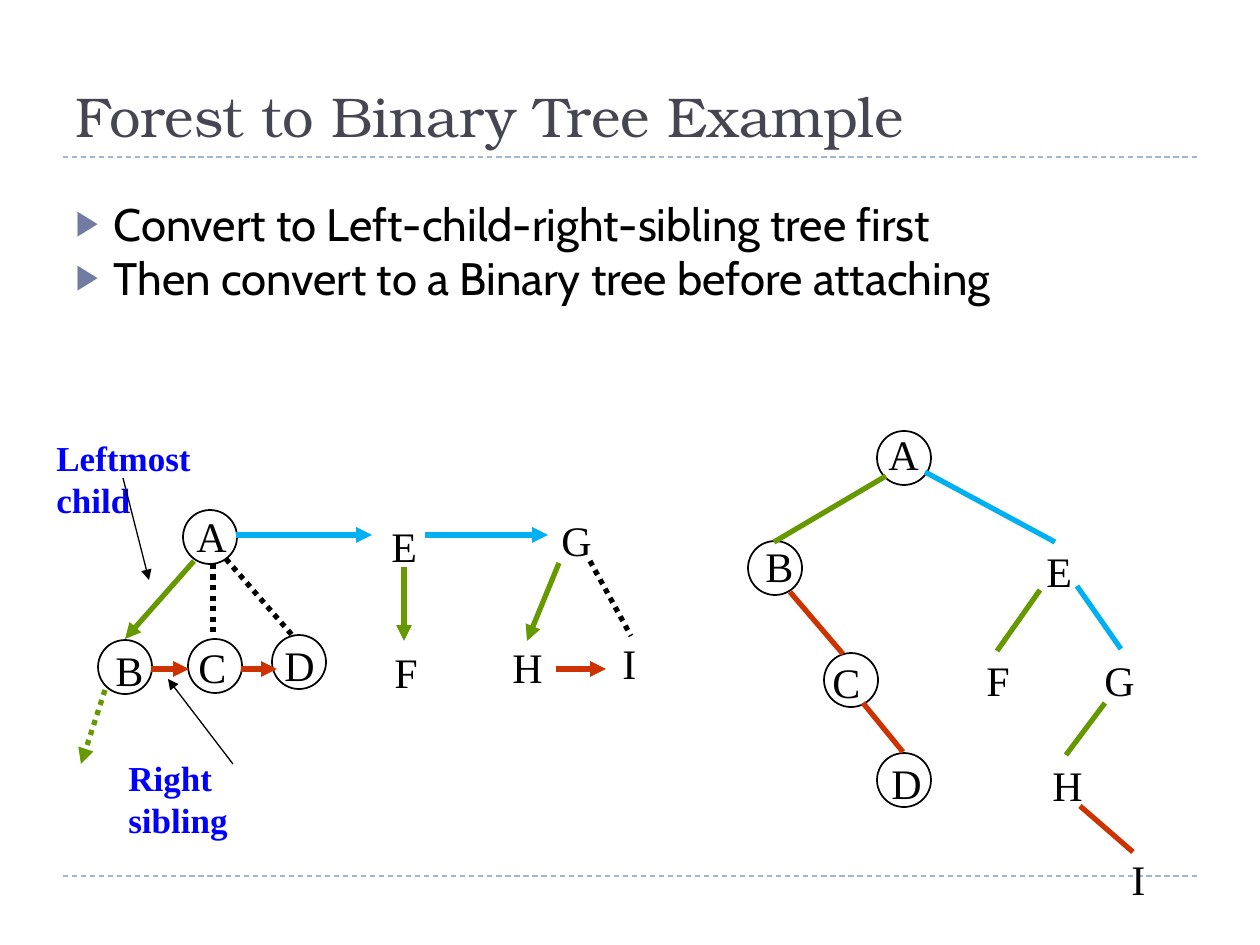
import pptx
import pptx.util
import pptx.dml.color
import pptx.enum.dml
import pptx.enum.shapes
import pptx.enum.text
import pptx.oxml.ns
from lxml import etree

PX = 914400 / 126
BLACK, GREEN, RED, BLUE = "000000", "669900", "CC3300", "00B0F0"
SERIF = "Times New Roman"
DASH = pptx.enum.dml.MSO_LINE.DASH
DOT = pptx.enum.dml.MSO_LINE.ROUND_DOT  # written as sysDot
NODE = 54
LABEL_HEIGHT = 63
LABEL_WIDTHS = {"A": 55, "B": 53, "C": 53, "D": 55, "E": 50,
                "F": 49, "G": 55, "H": 55, "I": 39}

# Letter: left and top of its label, then of its circle if it has one
FOREST_NODES = {
    "A": [(184, 504), (183, 510)], "B": [(103, 638), (98, 640)],
    "C": [(186, 635), (188, 639)], "D": [(272, 633), (272, 635)],
    "E": [(379, 514)], "F": [(382, 640)], "G": [(549, 508)],
    "H": [(500, 635)], "I": [(610, 631)],
}
BINARY_NODES = {
    "A": [(876, 422), (877, 431)], "B": [(753, 534), (748, 541)],
    "C": [(820, 650), (824, 653)], "D": [(879, 751), (877, 753)],
    "E": [(1034, 539)], "F": [(974, 648)], "G": [(1092, 648)],
    "H": [(1040, 753)], "I": [(1119, 847)],
}

# Edges: x1, y1, x2, y2, colour
FOREST_ARROWS = [
    (194, 561, 125, 639, GREEN), (404, 567, 404, 641, GREEN),
    (559, 563, 527, 641, GREEN),
    (151, 669, 189, 669, RED), (241, 669, 277, 669, RED),
    (556, 669, 606, 669, RED),
    (236, 535, 372, 535, BLUE), (425, 535, 548, 535, BLUE),
]
FOREST_DOTTED = [
    (226, 559, 292, 635, BLACK), (213, 564, 213, 636, BLACK),
    (590, 561, 631, 636, BLACK),
]
BINARY_EDGES = [
    (886, 476, 774, 542, GREEN), (925, 472, 1055, 542, BLUE),
    (790, 592, 843, 654, RED), (863, 703, 903, 752, RED),
    (1040, 590, 997, 651, GREEN), (1077, 586, 1121, 649, BLUE),
    (1105, 703, 1066, 755, GREEN), (1080, 806, 1133, 852, RED),
]


def px(*values):
    return [round(v * PX) for v in values]


def color(value):
    return pptx.dml.color.RGBColor.from_string(value)


def add_run(p, text, size, font, hex_color, bold=False):
    r = p.add_run()
    r.text = text
    r.font.size = pptx.util.Pt(size)
    r.font.name = font
    r.font.bold = bold
    r.font.color.rgb = color(hex_color)


def add_line(s, x1, y1, x2, y2, hex_color, width=3, dash=None, arrow=False):
    line = s.shapes.add_connector(
        pptx.enum.shapes.MSO_CONNECTOR.STRAIGHT, *px(x1, y1, x2, y2))
    line.line.color.rgb = color(hex_color)
    line.line.width = pptx.util.Pt(width)
    if dash:
        line.line.dash_style = dash
    if arrow:
        etree.SubElement(line.line._get_or_add_ln(),
                         pptx.oxml.ns.qn("a:tailEnd"), type="triangle")
    etree.SubElement(line._element.spPr, pptx.oxml.ns.qn("a:effectLst"))


def add_circle(s, x, y):
    sp = s.shapes.add_shape(pptx.enum.shapes.MSO_SHAPE.OVAL,
                            *px(x, y, NODE, NODE))
    sp.shadow.inherit = False
    sp.fill.background()
    sp.line.color.rgb = color(BLACK)
    sp.line.width = pptx.util.Pt(1)


def add_letter(s, letter, x, y):
    sp = s.shapes.add_textbox(*px(x, y, LABEL_WIDTHS[letter], LABEL_HEIGHT))
    tf = sp.text_frame
    tf.word_wrap = False
    tf.auto_size = pptx.enum.text.MSO_AUTO_SIZE.SHAPE_TO_FIT_TEXT
    add_run(tf.paragraphs[0], letter, 24, SERIF, BLACK)


def add_nodes(s, nodes):
    for letter, (label, *circles) in nodes.items():
        for circle in circles:
            add_circle(s, *circle)
        add_letter(s, letter, *label)


def add_callout(s, text, x, y, width, pointer):
    sp = s.shapes.add_textbox(*px(x, y, width, 54))
    tf = sp.text_frame
    tf.word_wrap = True
    tf.margin_right = px(25)[0]
    add_run(tf.paragraphs[0], text, 20, SERIF, "0000FF", bold=True)
    add_line(s, *pointer, BLACK, width=0.75, arrow=True)


def place(sp, x, y, width, height):
    sp.left, sp.top, sp.width, sp.height = px(x, y, width, height)


def fill_title(s, text):
    sp = s.shapes.title
    place(sp, 63, 16, 1040, 139)
    tf = sp.text_frame
    tf.vertical_anchor = pptx.enum.text.MSO_ANCHOR.BOTTOM
    tf.auto_size = pptx.enum.text.MSO_AUTO_SIZE.NONE
    p = tf.paragraphs[0]
    p.alignment = pptx.enum.text.PP_ALIGN.LEFT
    add_run(p, text, 32, "TeX Gyre Bonum", "464653")


def add_bullet(p):
    pPr = p._p.get_or_add_pPr()
    indent = px(38)[0]
    pPr.set("marL", str(indent))
    pPr.set("indent", str(-indent))
    bu_color = etree.SubElement(pPr, pptx.oxml.ns.qn("a:buClr"))
    etree.SubElement(bu_color, pptx.oxml.ns.qn("a:srgbClr"), val="727CA3")
    etree.SubElement(pPr, pptx.oxml.ns.qn("a:buSzPct"), val="76000")
    etree.SubElement(pPr, pptx.oxml.ns.qn("a:buChar"), char="▶")


def fill_body(s, items):
    sp = s.placeholders[1]
    place(sp, 63, 200, 1134, 113)
    tf = sp.text_frame
    tf.auto_size = pptx.enum.text.MSO_AUTO_SIZE.NONE
    for i, item in enumerate(items):
        p = tf.add_paragraph() if i else tf.paragraphs[0]
        add_bullet(p)
        p.line_spacing = 0.8
        p.space_before = pptx.util.Pt(6 if i else 0)
        add_run(p, item, 26, "Cabin", BLACK)


def main():
    prs = pptx.Presentation()
    prs.slide_width, prs.slide_height = px(1260, 945)
    s = prs.slides.add_slide(prs.slide_layouts[1])

    # Title, list and dashed rules
    fill_title(s, "Forest to Binary Tree Example")
    fill_body(s, ["Convert to Left-child-right-sibling tree first",
                  "Then convert to a Binary tree before attaching"])
    for y in (876, 157):
        add_line(s, 63, y, 1197, y, "9FB8CD", width=0.75, dash=DASH)

    # Forest as left-child-right-sibling trees
    add_nodes(s, FOREST_NODES)
    for edge in FOREST_ARROWS:
        add_line(s, *edge, arrow=True)
    for edge in FOREST_DOTTED:
        add_line(s, *edge, dash=DOT)
    add_line(s, 105, 690, 81, 764, GREEN, dash=DOT, arrow=True)
    add_callout(s, "Leftmost child", 44, 430, 242, (123, 478, 149, 580))
    add_callout(s, "Right sibling", 116, 750, 217, (233, 764, 168, 679))

    # Resulting binary tree
    add_nodes(s, BINARY_NODES)
    for edge in BINARY_EDGES:
        add_line(s, *edge)

    prs.save("out.pptx")


if __name__ == "__main__":
    main()
